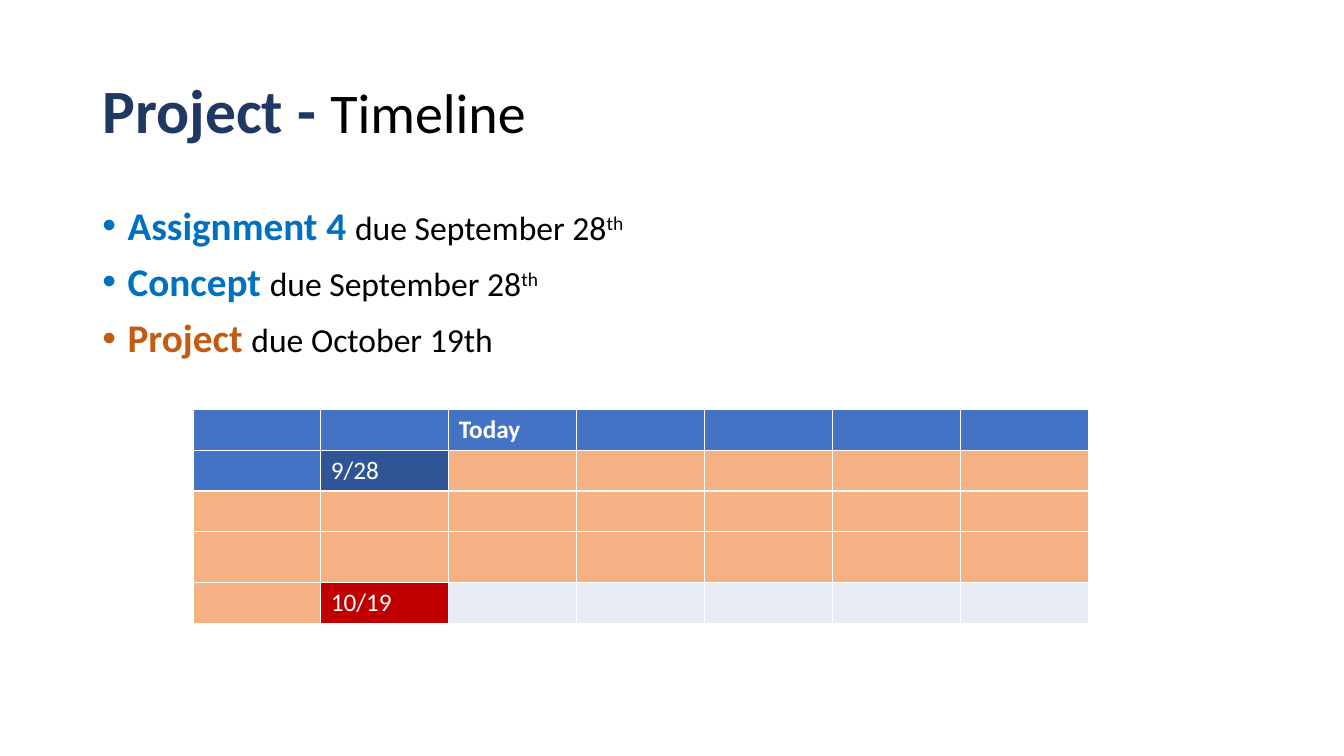
import dataclasses

import pptx
import pptx.dml.color
import pptx.enum.text
import pptx.util
from lxml import etree

Pt = pptx.util.Pt
ANCHOR = pptx.enum.text.MSO_ANCHOR


@dataclasses.dataclass(frozen=True)
class Theme:
    font: str = "Calibri"
    black: str = "000000"
    white: str = "FFFFFF"
    navy: str = "203864"
    sky: str = "0070C0"
    rust: str = "C55A11"
    header: str = "4472C4"
    assignment_day: str = "2F5597"
    project_days: str = "F4B183"
    project_day: str = "C00000"
    idle_days: str = "E9EBF5"
    title: int = 44
    subtitle: int = 40
    topic: int = 28
    detail: int = 24
    cell: int = 18


THEME = Theme()

DEADLINES = [
    ("Assignment 4 ", "due September 28", "th", THEME.sky),
    ("Concept ", "due September 28", "th", THEME.sky),
    ("Project ", "due October 19th", "", THEME.rust),
]

# Calendar: fills by row, labels by (row, column)
WEEK_FILLS = [
    [THEME.header] * 7,
    [THEME.header, THEME.assignment_day] + [THEME.project_days] * 5,
    [THEME.project_days] * 7,
    [THEME.project_days] * 7,
    [THEME.project_days, THEME.project_day] + [THEME.idle_days] * 5,
]
DAY_LABELS = {(0, 2): "Today", (1, 1): "9/28", (4, 1): "10/19"}
WEEK_HEIGHTS = [29.2, 29.2, 29.2, 36, 29.2]
DAY_WIDTH = 91.44


def add_text(paragraph, text, size, color, bold=False, superscript=False):
    run = paragraph.add_run()
    run.text = text
    run.font.name = THEME.font
    run.font.size = Pt(size)
    run.font.bold = bold
    run.font.color.rgb = pptx.dml.color.RGBColor.from_string(color)
    if superscript:
        run._r.get_or_add_rPr().set("baseline", "30000")


def place(placeholder, left, top, width, height, anchor):
    placeholder.left, placeholder.top = Pt(left), Pt(top)
    placeholder.width, placeholder.height = Pt(width), Pt(height)
    frame = placeholder.text_frame
    frame.word_wrap = True
    frame.auto_size = pptx.enum.text.MSO_AUTO_SIZE.NONE
    frame.vertical_anchor = anchor
    return frame


def add_bullet(paragraph, indent):
    properties = paragraph._p.get_or_add_pPr()
    properties.set("marL", str(Pt(indent)))
    properties.set("indent", str(-Pt(indent)))
    namespace = properties.nsmap["a"]
    etree.SubElement(properties, f"{{{namespace}}}buFont", typeface="Arial")
    etree.SubElement(properties, f"{{{namespace}}}buChar", char="•")


def add_heading(slide):
    frame = place(slide.shapes.title, 66, 28.75, 828, 104.4, ANCHOR.MIDDLE)
    heading = frame.paragraphs[0]
    heading.alignment = pptx.enum.text.PP_ALIGN.LEFT
    heading.line_spacing = 0.9
    add_text(heading, "Project - ", THEME.title, THEME.navy, bold=True)
    add_text(heading, "Timeline", THEME.subtitle, THEME.black)


def add_deadlines(slide):
    frame = place(slide.placeholders[1], 66, 143.75, 828, 342.6, ANCHOR.TOP)
    for index, (topic, due, suffix, color) in enumerate(DEADLINES):
        deadline = frame.add_paragraph() if index else frame.paragraphs[0]
        add_bullet(deadline, 18)
        deadline.line_spacing = 0.9
        deadline.space_before = Pt(10 if index else 0)
        add_text(deadline, topic, THEME.topic, color, bold=True)
        add_text(deadline, due, THEME.detail, THEME.black)
        if suffix:
            add_text(deadline, suffix, THEME.detail, THEME.black, superscript=True)


def add_calendar(slide, left, top):
    weeks, days = len(WEEK_FILLS), len(WEEK_FILLS[0])
    calendar = slide.shapes.add_table(
        weeks, days, Pt(left), Pt(top), Pt(DAY_WIDTH * days), Pt(sum(WEEK_HEIGHTS))
    ).table
    calendar.horz_banding = False
    for column in calendar.columns:
        column.width = Pt(DAY_WIDTH)
    for week, fills in enumerate(WEEK_FILLS):
        calendar.rows[week].height = Pt(WEEK_HEIGHTS[week])
        for day, fill in enumerate(fills):
            cell = calendar.cell(week, day)
            cell.fill.solid()
            cell.fill.fore_color.rgb = pptx.dml.color.RGBColor.from_string(fill)
            if (week, day) in DAY_LABELS:
                add_text(cell.text_frame.paragraphs[0], DAY_LABELS[week, day],
                         THEME.cell, THEME.white, bold=week == 0)


def main():
    deck = pptx.Presentation()
    deck.slide_width, deck.slide_height = Pt(960), Pt(540)
    slide = deck.slides.add_slide(deck.slide_layouts[1])
    add_heading(slide)
    add_deadlines(slide)
    add_calendar(slide, 137.8, 292.3)
    deck.save("out.pptx")


if __name__ == "__main__":
    main()
